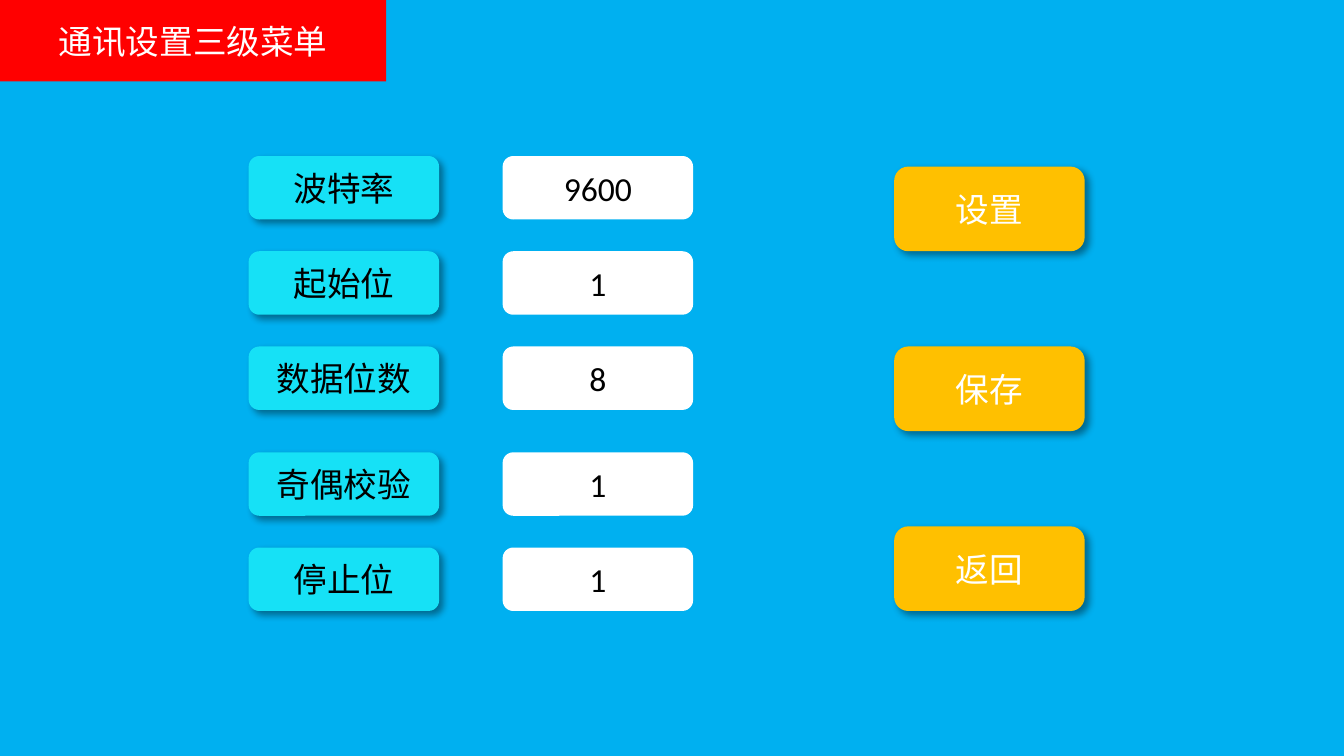
import pptx
import pptx.dml.color
import pptx.enum.shapes
import pptx.enum.text
import pptx.oxml
import pptx.oxml.ns
import pptx.util
from pptx.util import Cm

RECT = pptx.enum.shapes.MSO_SHAPE.RECTANGLE
ROUNDED = pptx.enum.shapes.MSO_SHAPE.ROUNDED_RECTANGLE
SHADOW = (
    f'<a:effectLst {pptx.oxml.ns.nsdecls("a")}>'
    '<a:outerShdw blurRad="50800" dist="38100" dir="2700000" algn="tl" rotWithShape="0">'
    '<a:srgbClr val="000000"><a:alpha val="40000"/></a:srgbClr>'
    '</a:outerShdw></a:effectLst>'
)


def color(hex_string):
    return pptx.dml.color.RGBColor.from_string(hex_string)


def style(box, text, fill, ink, shadow=False):
    box.fill.solid()
    box.fill.fore_color.rgb = color(fill)
    box.line.fill.background()
    frame = box.text_frame
    frame.text = text
    frame.word_wrap = True
    frame.auto_size = pptx.enum.text.MSO_AUTO_SIZE.NONE
    frame.vertical_anchor = pptx.enum.text.MSO_ANCHOR.MIDDLE
    para = frame.paragraphs[0]
    para.alignment = pptx.enum.text.PP_ALIGN.CENTER
    for span in para.runs:
        span.font.size = pptx.util.Pt(18)
        span.font.name = "Calibri"
        span.font.color.rgb = color(ink)
    if shadow:
        box.element.spPr.append(pptx.oxml.parse_xml(SHADOW))
    elif not box.is_placeholder:
        box.shadow.inherit = False


deck = pptx.Presentation()
deck.slide_width, deck.slide_height = Cm(25.4), Cm(14.29)
page = deck.slides.add_slide(deck.slide_layouts[5])
title = page.shapes.title

# Blue backdrop, placed behind the title
backdrop = page.shapes.add_shape(RECT, 0, 0, deck.slide_width, deck.slide_height)
style(backdrop, "", "00B0F0", "FFFFFF")
title.element.addprevious(backdrop.element)

# Red title banner
title.left, title.top, title.width, title.height = Cm(0), Cm(0), Cm(7.3), Cm(1.54)
style(title, "通讯设置三级菜单", "FF0000", "FFFFFF")

# Settings: name on the left, value on the right
settings = [
    (2.95, "波特率", "9600"),
    (4.75, "起始位", "1"),
    (6.55, "数据位数", "8"),
    (8.55, "奇偶校验", "1"),
    (10.35, "停止位", "1"),
]
for top, name, value in settings:
    label = page.shapes.add_shape(ROUNDED, Cm(4.7), Cm(top), Cm(3.6), Cm(1.2))
    style(label, name, "16E1F6", "000000", shadow=True)
    field = page.shapes.add_shape(ROUNDED, Cm(9.5), Cm(top), Cm(3.6), Cm(1.2))
    style(field, value, "FFFFFF", "000000")

# Action buttons
for row, action in enumerate(["设置", "保存", "返回"]):
    button = page.shapes.add_shape(ROUNDED, Cm(16.9), Cm(3.15 + 3.4 * row), Cm(3.6), Cm(1.6))
    style(button, action, "FFC000", "FFFFFF", shadow=True)

deck.save("out.pptx")
